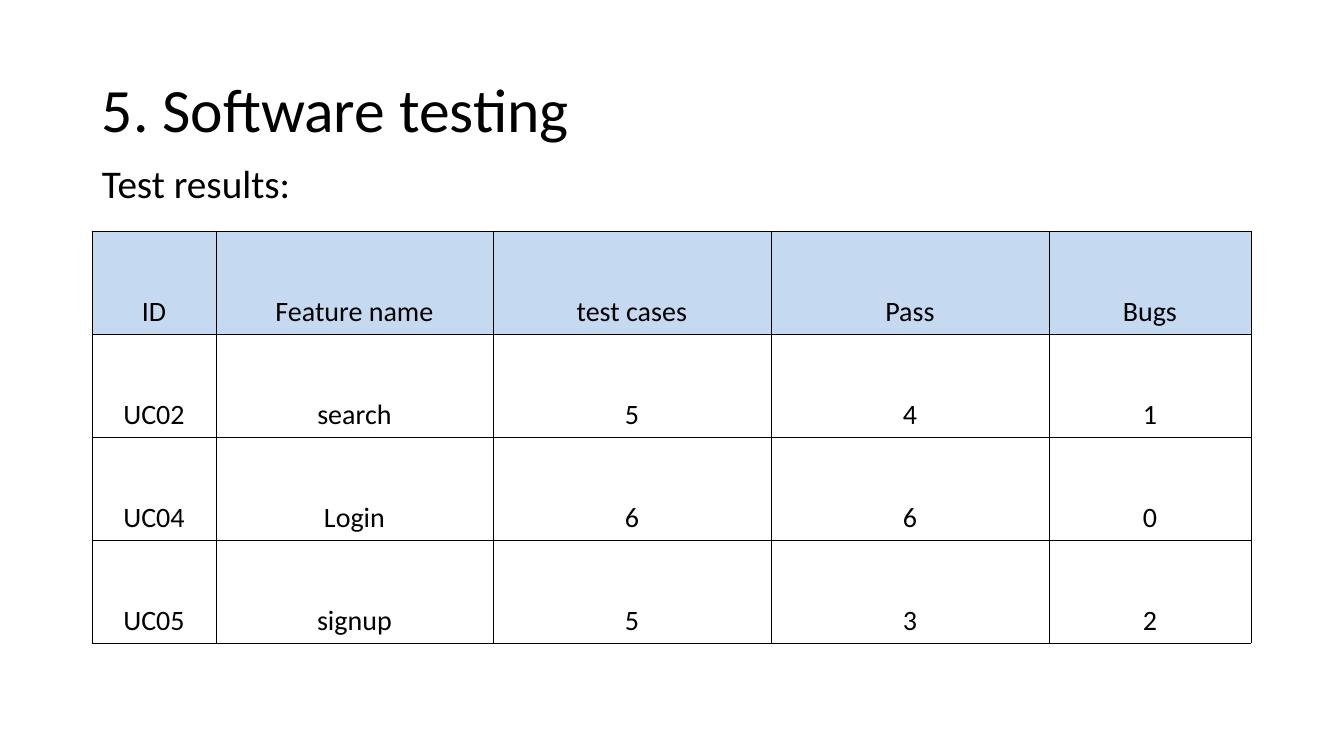
import pptx
import pptx.dml.color
import pptx.enum.text
import pptx.oxml
import pptx.oxml.ns
import pptx.util

PX = 914400 / 100.8
COLORS = {"text": "000000", "border": "000000", "header": "C5D9F1"}
ANCHOR = pptx.enum.text.MSO_ANCHOR


def px(value):
    return pptx.util.Emu(round(value * PX))


def format_run(paragraph, size):
    font = paragraph.runs[0].font
    font.name = "Calibri"
    font.size = pptx.util.Pt(size)
    font.color.rgb = pptx.dml.color.RGBColor.from_string(COLORS["text"])


presentation = pptx.Presentation()
presentation.slide_width = px(1344)
presentation.slide_height = px(756)
slide = presentation.slides.add_slide(presentation.slide_layouts[6])

headings = [
    ("5. Software testing", 40, 1159, 146, 44, 0, ANCHOR.MIDDLE),
    ("Test results:", 160, 572, 71, 28, 10, ANCHOR.TOP),
]
for text, top, width, height, size, space_before, anchor in headings:
    shape = slide.shapes.add_textbox(px(92), px(top), px(width), px(height))
    frame = shape.text_frame
    frame.word_wrap = True
    frame.vertical_anchor = anchor
    frame.text = text
    paragraph = frame.paragraphs[0]
    paragraph.line_spacing = 0.9
    paragraph.space_before = pptx.util.Pt(space_before)
    format_run(paragraph, size)

results = [
    ["ID", "Feature name", "test cases", "Pass", "Bugs"],
    ["UC02", "search", "5", "4", "1"],
    ["UC04", "Login", "6", "6", "0"],
    ["UC05", "signup", "5", "3", "2"],
]
column_widths = [124, 277, 278, 278, 202]
row_height = 103
table = slide.shapes.add_table(
    len(results), len(column_widths), px(92), px(231),
    px(sum(column_widths)), px(row_height * len(results)),
).table
table.horz_banding = False

for column, width in zip(table.columns, column_widths):
    column.width = px(width)

for row_index, values in enumerate(results):
    table.rows[row_index].height = px(row_height)
    for column_index, value in enumerate(values):
        cell = table.cell(row_index, column_index)
        cell.margin_left = cell.margin_right = cell.margin_top = px(1)
        cell.margin_bottom = px(5)
        cell.vertical_anchor = ANCHOR.BOTTOM
        cell.text_frame.text = value
        paragraph = cell.text_frame.paragraphs[0]
        paragraph.alignment = pptx.enum.text.PP_ALIGN.CENTER
        format_run(paragraph, 20)
        if row_index == 0:
            cell.fill.solid()
            cell.fill.fore_color.rgb = pptx.dml.color.RGBColor.from_string(COLORS["header"])
        else:
            cell.fill.background()
        properties = cell._tc.get_or_add_tcPr()
        for position, side in enumerate(["lnL", "lnR", "lnT", "lnB"]):
            border = pptx.oxml.parse_xml(
                f'<a:{side} {pptx.oxml.ns.nsdecls("a")} w="6350"><a:solidFill>'
                f'<a:srgbClr val="{COLORS["border"]}"/></a:solidFill></a:{side}>'
            )
            properties.insert(position, border)

presentation.save("out.pptx")
